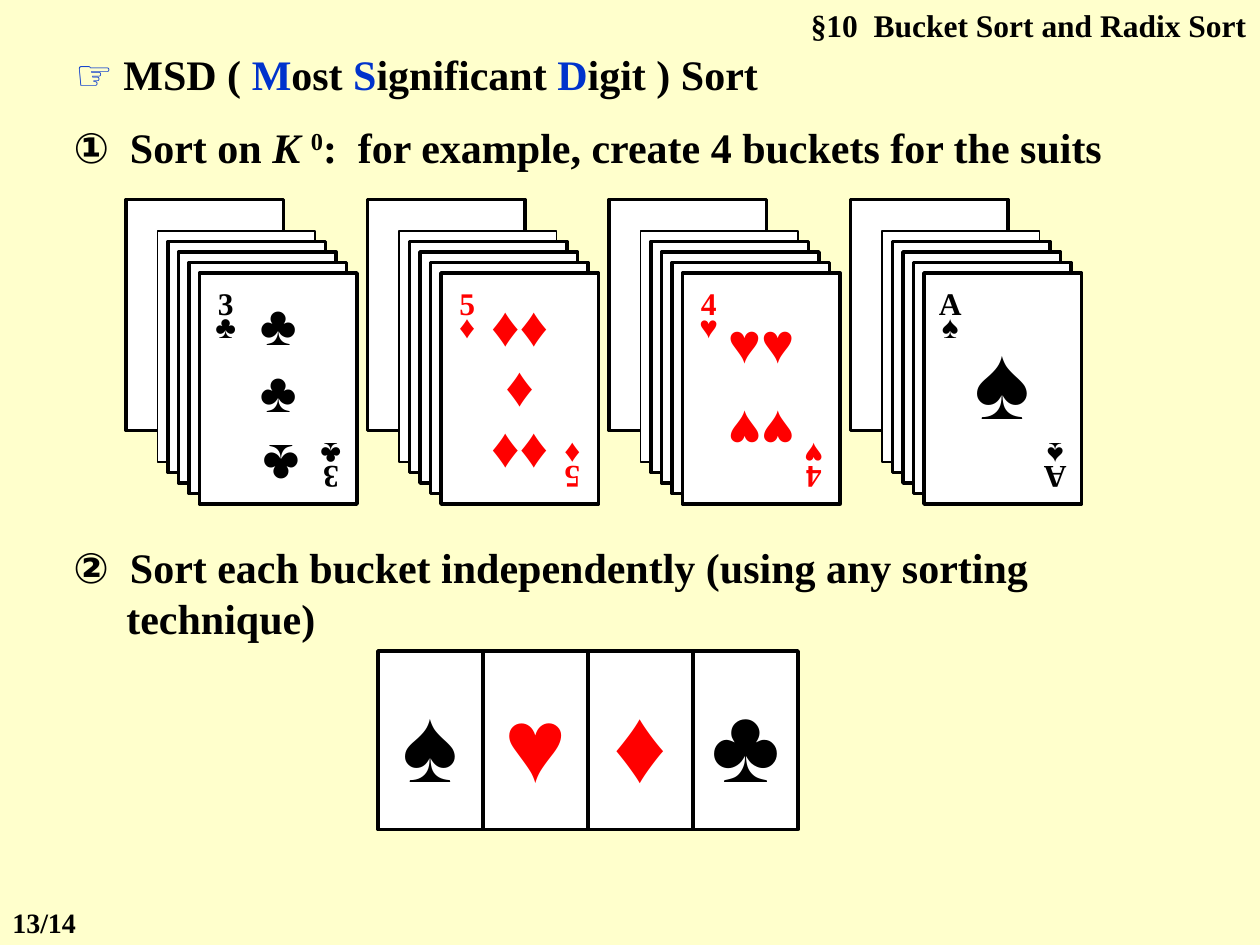
from pptx import Presentation
from pptx.util import Inches, Pt
from pptx.dml.color import RGBColor
from pptx.enum.shapes import MSO_SHAPE as Kind
from pptx.enum.text import PP_ALIGN as Align, MSO_ANCHOR as Anchor, MSO_AUTO_SIZE as Auto

# Content
BLACK, RED, BLUE, WHITE, CREAM = "000000", "FF0000", "0033CC", "FFFFFF", "FFFFCC"
SERIF, SANS = "Times New Roman", "Arial"
CLUB, DIAM, HEART, SPADE = "♣", "♦", "♥", "♠"
INK = {CLUB: BLACK, DIAM: RED, HEART: RED, SPADE: BLACK}

# Body lines: box in grid units, space before, runs of (text, style)
SIGN = {"font": SANS}
LINES = [
    ((6, 4, 108, 6), 0.1, 0, [
        ("☞", {"font": SANS, "color": BLUE}), (" MSD ( ", {}),
        ("M", {"color": BLUE}), ("ost ", {}), ("S", {"color": BLUE}),
        ("ignificant ", {}), ("D", {"color": BLUE}), ("igit ) Sort", {})]),
    ((7, 10.95, 105, 6), 0, 0, [
        ("①", SIGN), ("  Sort on ", {}), ("K ", {"italic": True}),
        ("0", {"sup": True}),
        (":  for example, create 4 buckets for the suits", {})]),
    ((7, 51, 107, 10.8), 0, 0.42, [
        ("②", SIGN),
        ("  Sort each bucket independently (using any sorting technique)", {})]),
]

# Buckets: rank, suit, pips as (box from the bucket's left, rows, size, spacing, turn)
BUCKETS = [
    ("3", CLUB, [((10.5, 28, 8, 12), [CLUB, CLUB], 32, None, 0),
                 ((11, 41.1, 7.5, 7), [CLUB], 32, None, 180)]),
    ("5", DIAM, [((10.5, 28, 8, 18), [DIAM * 2, DIAM, DIAM * 2], 32, 0.9, 0)]),
    ("4", HEART, [((10.5, 29, 8, 7), [HEART * 2], 32, None, 0),
                  ((10.5, 37.8, 8, 7), [HEART * 2], 32, None, 180)]),
    ("A", SPADE, [((10.5, 30, 8, 12), [SPADE], 60, None, 0)]),
]
STACK = [0, 3, 4, 5, 6, 7]
CORNERS = [((7, 27.5, 5, 6), 0), ((17, 41, 5, 6), 180)]
SUITS = [SPADE, HEART, DIAM, CLUB]

# Slide, with a grid of twelve units to the inch
deck = Presentation()
deck.slide_width, deck.slide_height = Inches(10), Inches(7.5)
slide = deck.slides.add_slide(deck.slide_layouts[6])


def rgb(code):
    return RGBColor.from_string(code)


def place(box, dx=0):
    x, y, w, h = box
    return [Inches(v / 12) for v in (x + dx, y, w, h)]


def write(par, text, size, font=SERIF, color=BLACK, italic=False, sup=False):
    run = par.add_run()
    run.text = text
    face = run.font
    face.size, face.name, face.bold = Pt(size), font, True
    face.color.rgb = rgb(color)
    if italic:
        face.italic = True
    if sup:
        run._r.get_or_add_rPr().set("baseline", "30000")


def setup(frame, side=0, wrap=True):
    frame.margin_left = frame.margin_right = Inches(side)
    frame.margin_top = frame.margin_bottom = Inches(0.05)
    frame.word_wrap = wrap
    frame.auto_size = Auto.SHAPE_TO_FIT_TEXT if wrap else Auto.NONE


def line(box, side, hang, before, size, runs, align=Align.LEFT):
    frame = slide.shapes.add_textbox(*place(box)).text_frame
    setup(frame, side)
    par = frame.paragraphs[0]
    par.alignment, par.space_before = align, Pt(before)
    if hang:
        props = par._p.get_or_add_pPr()
        props.set("marL", str(Inches(hang)))
        props.set("indent", str(-Inches(hang)))
    for text, style in runs:
        write(par, text, size, **style)


def marks(shape, rows, size, color, gap=None, turn=0):
    """Centred rows of (text, font)."""
    frame = shape.text_frame
    setup(frame, wrap=False)
    frame.vertical_anchor = Anchor.MIDDLE
    shape.rotation = turn
    for i, (text, font) in enumerate(rows):
        par = frame.add_paragraph() if i else frame.paragraphs[0]
        par.alignment = Align.CENTER
        if gap:
            par.line_spacing = gap
        write(par, text, size, font, color)


def card(shapes, box, width=2):
    rect = shapes.add_shape(Kind.RECTANGLE, *place(box))
    rect.shadow.inherit = False
    rect.fill.solid()
    rect.fill.fore_color.rgb = rgb(WHITE)
    rect.line.color.rgb = rgb(BLACK)
    rect.line.width = Pt(width)
    return rect


slide.background.fill.solid()
slide.background.fill.fore_color.rgb = rgb(CREAM)

# Body lines
for box, side, hang, runs in LINES:
    line(box, side, hang, 15, 24, runs)

# Four buckets, each a stack of cards with an open one on top
for i, (rank, suit, pips) in enumerate(BUCKETS):
    left, ink = 12 + 23 * i, INK[suit]
    parts = slide.shapes.add_group_shape().shapes
    for step in STACK:
        card(parts, (left + step, 19 + step, 15, 22), 0.75 if step == 3 else 2)
    for box, turn in CORNERS:
        marks(parts.add_textbox(*place(box, left)),
              [(rank, SERIF), (suit, SANS)], 18, ink, 0.6, turn)
    for box, rows, size, gap, turn in pips:
        marks(parts.add_textbox(*place(box, left)),
              [(row, SANS) for row in rows], size, ink, gap, turn)

# Row of suits
for i, suit in enumerate(SUITS):
    marks(card(slide.shapes, (36 + 10 * i, 62, 10, 17)),
          [(suit, SANS)], 60, INK[suit])

# Header and page number
line((70, 0, 49.9, 4.8), 0.1, 0, 11.2, 18,
     [("§10  Bucket Sort and Radix Sort", {})], Align.RIGHT)
line((0, 85.65, 11.8, 4.4), 0.1, 0, 10, 16, [("13/14", {})])

deck.save("out.pptx")
